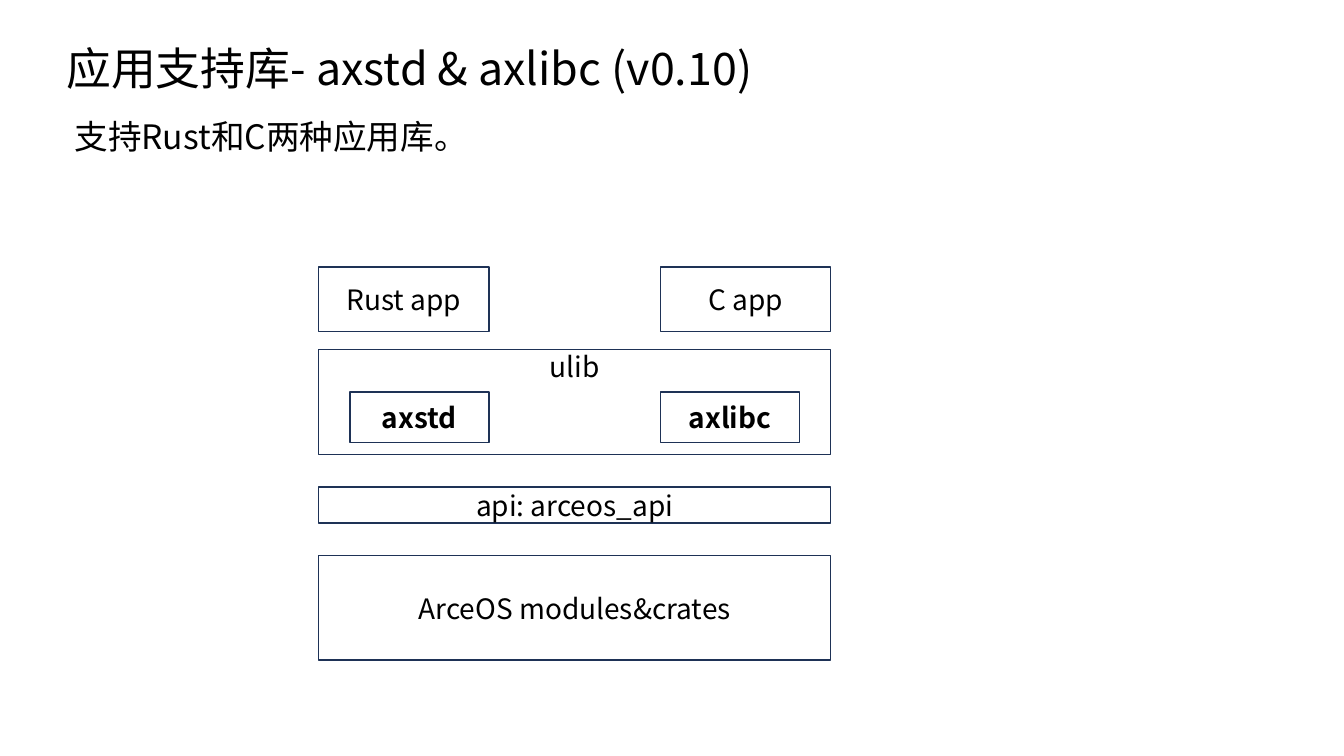
"""Build the slide on the axstd and axlibc application libraries."""
from lxml.etree import SubElement
from pptx import Presentation
from pptx.dml.color import RGBColor
from pptx.enum.shapes import MSO_SHAPE
from pptx.enum.text import MSO_ANCHOR, PP_ALIGN
from pptx.oxml.ns import qn
from pptx.util import Inches, Pt

FONT = "Noto Sans CJK SC"
HEX = {"text": "000000", "fill": "FFFFFF", "line": "1E3256"}
HEADS = [
    ("应用支持库- axstd & axlibc (v0.10)", 32, (0.56, 0.4, 10.9, 0.64)),
    ("支持Rust和C两种应用库。", 24, (0.64, 1.15, 9.37, 0.5)),
]
LEFT, WIDE = 3.16, 5.08
APP, LIB = 1.69, 1.38
RIGHT = LEFT + WIDE
INNER = LEFT + APP
ROWS = {
    "app": (2.65, 0.64),
    "ulib": (3.47, 1.04),
    "lib": (3.89, 0.5),
    "api": (4.83, 0.36),
    "base": (5.51, 1.04),
}
BOXES = [
    ("Rust app", "app", LEFT, APP),
    ("C app", "app", RIGHT - APP, APP),
    ("ulib", "ulib", LEFT, WIDE),
    ("axstd", "lib", INNER - LIB, LIB),
    ("axlibc", "lib", RIGHT - APP, LIB),
    ("api: arceos_api", "api", LEFT, WIDE),
    ("ArceOS modules&crates", "base", LEFT, WIDE),
]


def tint(name):
    return RGBColor.from_string(HEX[name])


def write(shape, text, size, bold=False):
    frame = shape.text_frame
    frame.word_wrap = True
    frame.margin_top = frame.margin_bottom = 0
    para = frame.paragraphs[0]
    para.text = text
    font = para.font
    font.name, font.size, font.bold = FONT, Pt(size), bold
    font.color.rgb = tint("text")
    props = para._p.pPr.find(qn("a:defRPr"))
    SubElement(props, qn("a:ea"), typeface=FONT)
    return frame


def draw(shapes, text, row, left, width):
    top, high = ROWS[row]
    spot = [Inches(n) for n in (left, top, width, high)]
    box = shapes.add_shape(MSO_SHAPE.RECTANGLE, *spot)
    box.shadow.inherit = False
    box.fill.solid()
    box.fill.fore_color.rgb = tint("fill")
    box.line.color.rgb = tint("line")
    box.line.width = Pt(1)
    frame = write(box, text, 20, row == "lib")
    frame.paragraphs[0].alignment = PP_ALIGN.CENTER
    frame.vertical_anchor = MSO_ANCHOR.TOP if row == "ulib" else MSO_ANCHOR.MIDDLE


def main():
    deck = Presentation()
    deck.slide_width, deck.slide_height = Inches(13.33), Inches(7.5)
    shapes = deck.slides.add_slide(deck.slide_layouts[6]).shapes
    for text, size, spot in HEADS:
        write(shapes.add_textbox(*map(Inches, spot)), text, size)
    for box in BOXES:
        draw(shapes, *box)
    deck.save("out.pptx")


if __name__ == "__main__":
    main()
